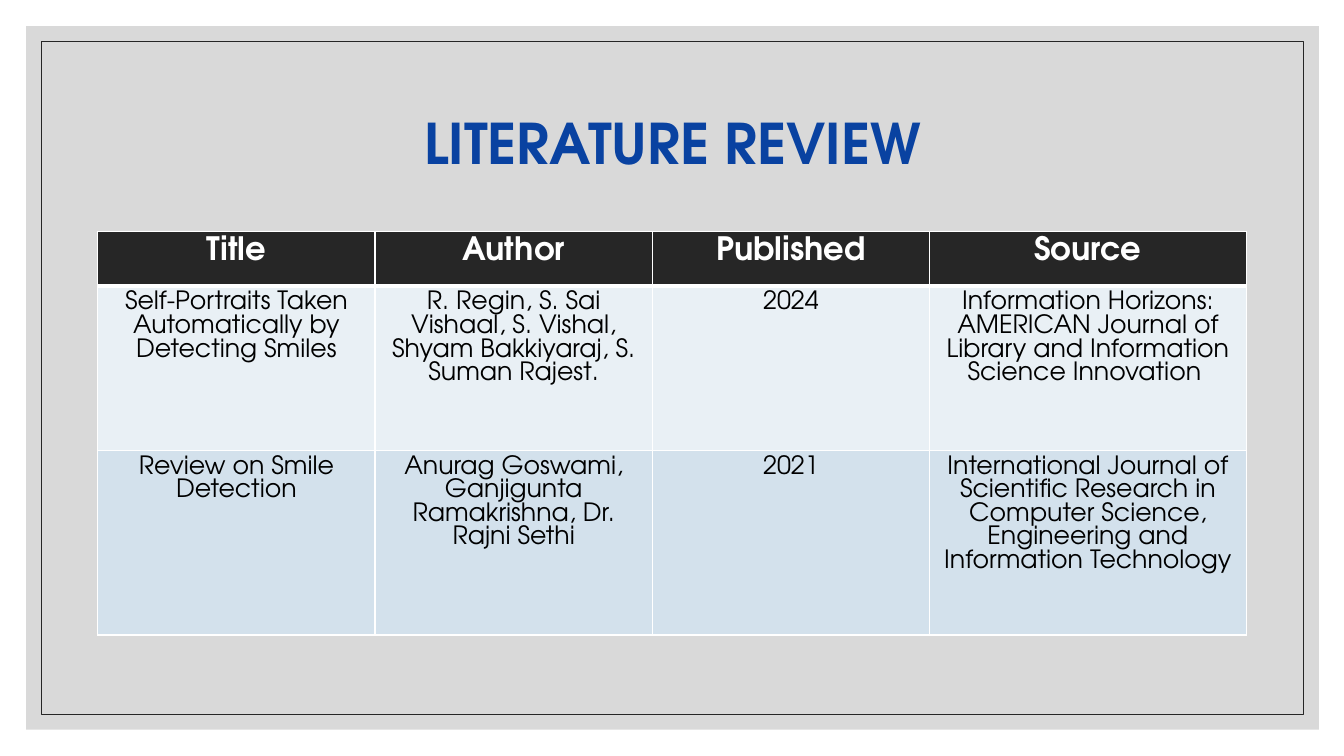
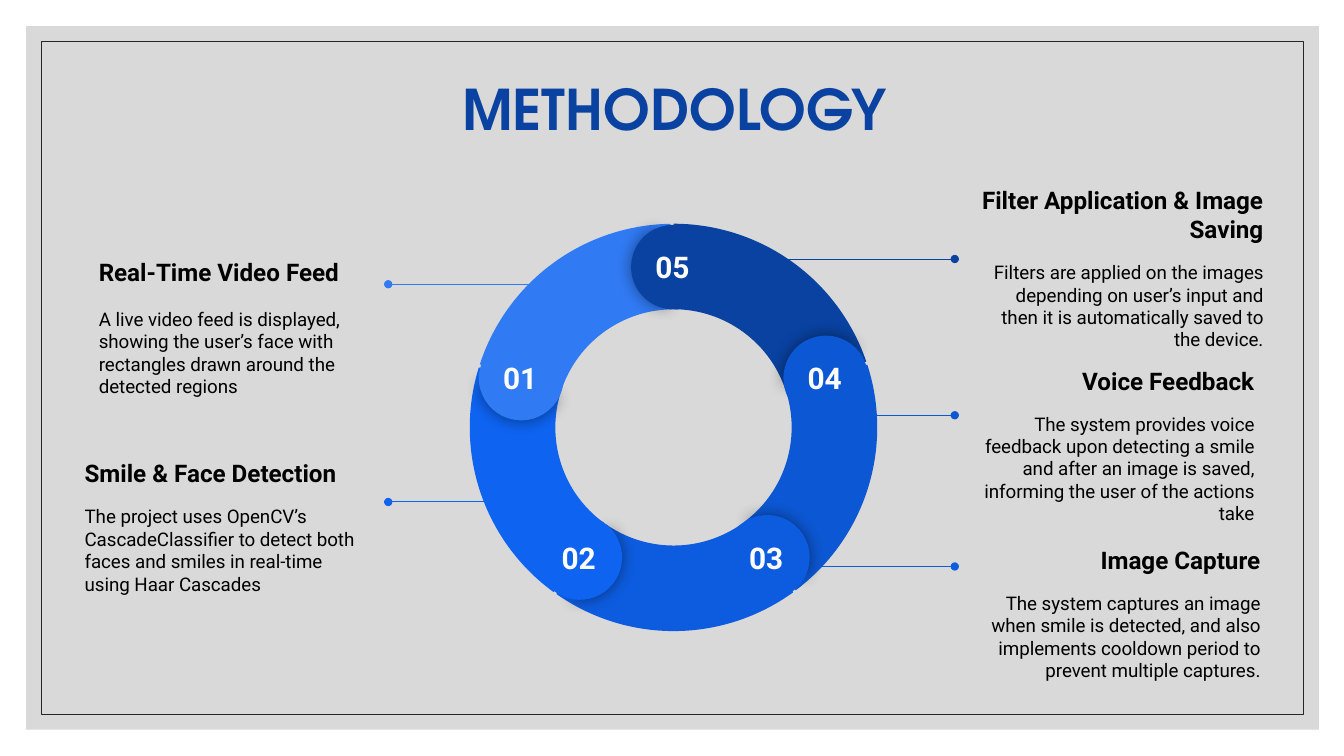
import math

import pptx
import pptx.util
import pptx.dml.color
import pptx.enum.shapes
import pptx.enum.text
import pptx.oxml
import pptx.oxml.ns

RGB = pptx.dml.color.RGBColor
SHAPE = pptx.enum.shapes.MSO_SHAPE
ALIGN = pptx.enum.text.PP_ALIGN
ANCHOR = pptx.enum.text.MSO_ANCHOR
Pt = pptx.util.Pt

WHITE = RGB(0xFF, 0xFF, 0xFF)
BLACK = RGB(0, 0, 0)
INK = RGB(0x26, 0x26, 0x26)
GREY = RGB(0xD9, 0xD9, 0xD9)
PALE = RGB(0xE9, 0xF0, 0xF5)
MIST = RGB(0xD3, 0xE1, 0xEC)
NAVY = RGB(0x09, 0x42, 0xA1)
ROYAL = RGB(0x0C, 0x57, 0xD3)
COBALT = RGB(0x0D, 0x5C, 0xDF)
AZURE = RGB(0x0E, 0x63, 0xF0)
SKY = RGB(0x30, 0x7A, 0xF3)

DISPLAY = "TeX Gyre Adventor"
BODY = "Roboto"
SCALE = 9144  # EMU in one px, 100 px to the inch

ROWS = [
    ["Title", "Author", "Published", "Source"],
    ["Self-Portraits Taken Automatically by Detecting Smiles",
     "R. Regin, S. Sai Vishaal, S. Vishal, Shyam Bakkiyaraj, S. Suman Rajest.",
     "2024",
     "Information Horizons: AMERICAN Journal of Library and Information "
     "Science Innovation "],
    ["Review on Smile Detection",
     "Anurag Goswami, Ganjigunta Ramakrishna, Dr. Rajni Sethi",
     "2021",
     "International Journal of Scientific Research in Computer Science, "
     "Engineering and Information Technology"],
]

# heading, body, box, alignment, gap in points
NOTES = [
    ("Real-Time Video Feed",
     "A live video feed is displayed, showing the user’s face with "
     "rectangles drawn around the detected regions",
     (85, 242, 296, 160), ALIGN.LEFT, 15.6),
    ("Smile & Face Detection",
     "The project uses OpenCV’s CascadeClassifier to detect both faces and "
     "smiles in real-time using Haar Cascades",
     (71, 442, 310, 160), ALIGN.LEFT, 12.5),
    ("Image Capture",
     "The system captures an image when smile is detected, and also "
     "implements cooldown period to prevent multiple captures.",
     (953, 528, 310, 160), ALIGN.RIGHT, 12.5),
    ("Voice Feedback",
     "The system provides voice feedback upon detecting a smile and after an "
     "image is saved, informing the user of the actions take",
     (947, 350, 310, 180), ALIGN.RIGHT, 12.5),
    ("Filter Application & Image Saving",
     "Filters are applied on the images depending on user’s input and then "
     "it is automatically saved to the device.",
     (956, 171, 310, 187), ALIGN.RIGHT, 12.5),
]

# start x, end x, y, colour
LEADS = [
    (564, 385, 282, SKY),
    (521, 385, 498, AZURE),
    (679, 947, 562, COBALT),
    (818, 947, 412, ROYAL),
    (760, 947, 257, NAVY),
]

# label, colour, angle of the cap in degrees clockwise from east
STEPS = [
    ("01", SKY, 198),
    ("02", AZURE, 126),
    ("03", COBALT, 54),
    ("04", ROYAL, -18),
    ("05", NAVY, -90),
]


def px(*sizes):
    return [size * SCALE for size in sizes]


def xml(text):
    return pptx.oxml.parse_xml(
        text.replace(">", " " + pptx.oxml.ns.nsdecls("a") + ">", 1))


class Deck:
    def __init__(self):
        self.file = pptx.Presentation()
        self.file.slide_width, self.file.slide_height = px(1333, 750)
        self.slide = None

    def start(self):
        """Add a slide with the grey panel and its thin frame."""
        self.slide = self.file.slides.add_slide(self.file.slide_layouts[6])
        self.shape(SHAPE.RECTANGLE, (26, 26, 1282, 698), GREY)
        frame = self.shape(SHAPE.RECTANGLE, (41, 41, 1252, 668))
        frame.line.color.rgb = INK
        frame.line.width = Pt(0.75)

    def shape(self, kind, box, fill=None, turn=0, adjust=()):
        item = self.slide.shapes.add_shape(kind, *px(*box))
        item.shadow.inherit = False
        item.line.fill.background()
        if fill is None:
            item.fill.background()
        else:
            item.fill.solid()
            item.fill.fore_color.rgb = fill
        item.rotation = turn % 360
        for k, value in enumerate(adjust):
            item.adjustments[k] = value
        return item

    def style(self, para, size, color, font, bold, align):
        para.alignment = align
        for run in para.runs:
            run.font.name = font
            run.font.size = Pt(size)
            run.font.bold = bold
            run.font.color.rgb = color

    def text(self, box, lines, inset, align, anchor=ANCHOR.TOP):
        """Each line is (text, size, colour, font, bold)."""
        frame = self.slide.shapes.add_textbox(*px(*box)).text_frame
        frame.word_wrap = True
        frame.vertical_anchor = anchor
        frame.margin_left, frame.margin_right = px(inset, inset)
        frame.margin_top, frame.margin_bottom = px(inset, inset)
        frame.text = "\n".join(line[0] for line in lines)
        for para, line in zip(frame.paragraphs, lines):
            self.style(para, *line[1:], align)
        return frame

    def title(self, text, box, anchor=ANCHOR.TOP):
        return self.text(box, [(text, 40, NAVY, DISPLAY, True)], 10,
                         ALIGN.CENTER, anchor)

    def note(self, head, body, box, align, gap):
        frame = self.text(box, [(head, 17.33, BLACK, BODY, True),
                                (body, 13.33, BLACK, BODY, False)], 13, align)
        frame.paragraphs[1].space_before = Pt(gap)

    def lead(self, start, end, y, color):
        """Draw a level line that ends in a dot."""
        line = self.slide.shapes.add_connector(
            pptx.enum.shapes.MSO_CONNECTOR.STRAIGHT, *px(start, y, end, y))
        line.line.color.rgb = color
        line.line.width = Pt(0.75)
        line.line._get_or_add_ln().append(xml('<a:tailEnd type="oval"/>'.replace("/>", "></a:tailEnd>")))
        line._element.spPr.append(xml("<a:effectLst></a:effectLst>"))

    def table(self, left, top, wides, highs, rows):
        grid = self.slide.shapes.add_table(
            len(rows), len(wides), *px(left, top, sum(wides), sum(highs))).table
        for col, wide in zip(grid.columns, wides):
            col.width = wide * SCALE
        for row, high in zip(grid.rows, highs):
            row.height = high * SCALE
        looks = [(INK, 23, WHITE, True), (PALE, 18, BLACK, False),
                 (MIST, 18, BLACK, False)]
        for r, (row, look) in enumerate(zip(rows, looks)):
            fill, size, color, bold = look
            for c, text in enumerate(row):
                cell = grid.cell(r, c)
                cell.text_frame.text = text
                self.style(cell.text_frame.paragraphs[0], size, color,
                           DISPLAY, bold, ALIGN.CENTER)
                cell.fill.solid()
                cell.fill.fore_color.rgb = fill
                self.edge(cell, 3 if r == 1 else 1, 3 if r == 0 else 1)

    def edge(self, cell, top, bottom):
        """Give a cell white borders; top and bottom are widths in points."""
        sides = [("L", 1), ("R", 1), ("T", top), ("B", bottom)]
        for k, (side, width) in enumerate(sides):
            cell._tc.get_or_add_tcPr().insert(k, xml(
                f'<a:ln{side} w="{Pt(width)}"><a:solidFill>'
                f'<a:srgbClr val="{WHITE}"/></a:solidFill></a:ln{side}>'))

    def glow(self, item):
        """Put a soft black shadow around a shape."""
        effects = item._element.spPr.find(pptx.oxml.ns.qn("a:effectLst"))
        effects.append(xml(
            f'<a:outerShdw blurRad="{Pt(11.2)}" dist="0" algn="ctr">'
            '<a:srgbClr val="000000"><a:alpha val="43000"/></a:srgbClr>'
            '</a:outerShdw>'))

    def ring(self, x, y, steps):
        """Draw a ring of arcs, each led by a round numbered cap."""
        outer, mid, cap = 202, 159, 42
        for label, color, angle in steps:
            self.shape(SHAPE.BLOCK_ARC,
                       (x - outer, y - outer, 2 * outer, 2 * outer), color,
                       angle + 150, (126.03, 168.68, 0.21))
        for label, color, angle in steps:
            cx = x + round(mid * math.cos(math.radians(angle)))
            cy = y + round(mid * math.sin(math.radians(angle)))
            box = (cx - cap, cy - cap, 2 * cap, 2 * cap)
            self.glow(self.shape(SHAPE.PIE, box, color, angle + 85,
                                 (61.9, 149.96)))
            self.shape(SHAPE.PIE, box, color, angle + 264, (40.28, 171.84))
            self.text((cx - 38, cy - 31, 74, 39),
                      [(label, 21.33, WHITE, BODY, True)], 13, ALIGN.CENTER)


def main():
    deck = Deck()

    deck.start()
    frame = deck.title("LITERATURE REVIEW", (117, 70, 1100, 150),
                       ANCHOR.MIDDLE)
    frame.paragraphs[0].line_spacing = 0.9
    deck.table(97, 230, [275, 275, 275, 314], [54, 163, 183], ROWS)

    deck.start()
    for lead in LEADS:
        deck.lead(*lead)
    for note in NOTES:
        deck.note(*note)
    deck.ring(668, 424, STEPS)
    deck.title("METHODOLOGY", (71, 64, 1195, 66))

    deck.file.save("out.pptx")


if __name__ == "__main__":
    main()
